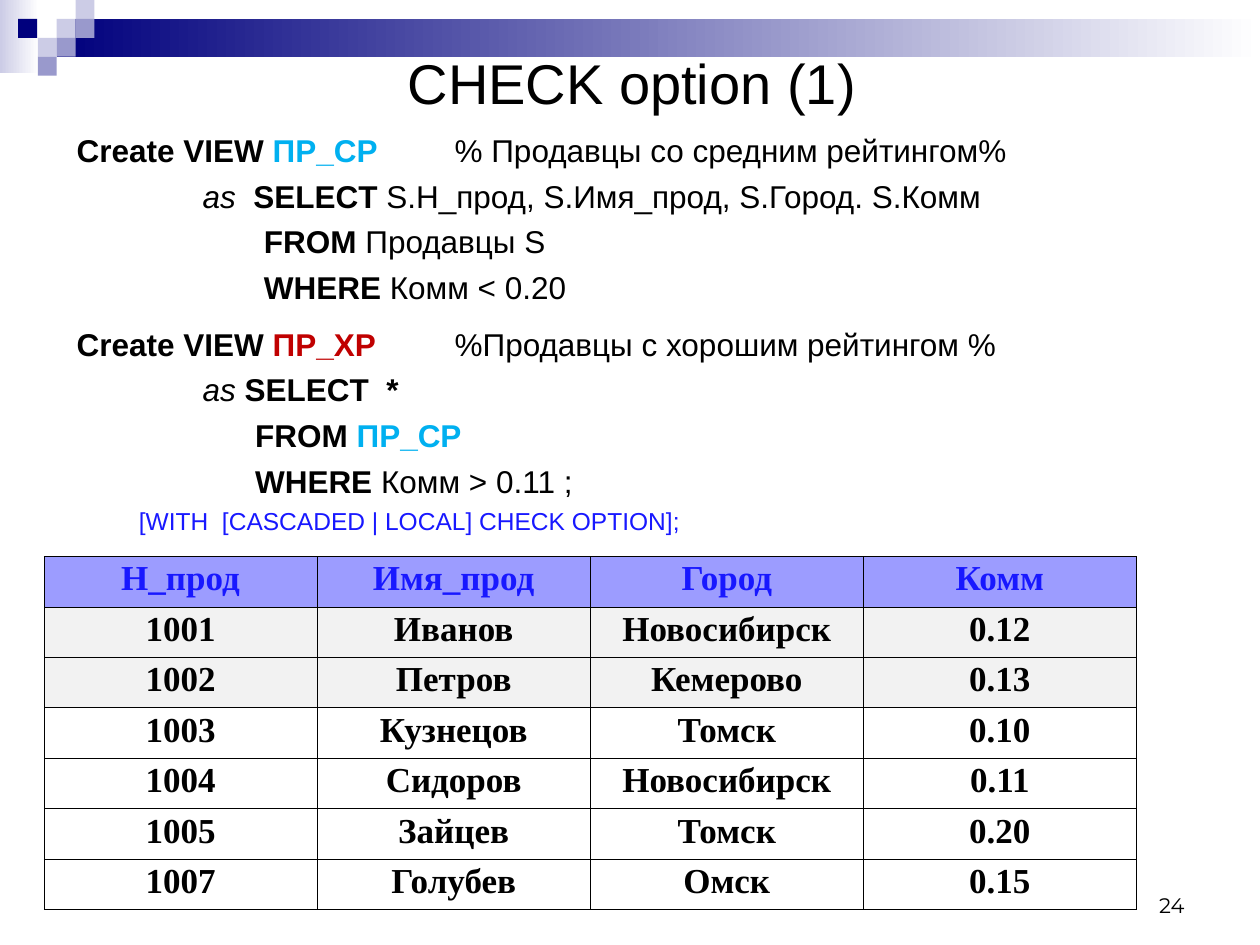
"""Build the slide about the CHECK option of SQL views."""
from dataclasses import dataclass
from typing import Any, NamedTuple, Optional

from lxml import etree
from pptx import Presentation
from pptx import util as u
from pptx.dml import color as c
from pptx.enum import shapes, text
from pptx.oxml import ns

BLACK = c.RGBColor(0x00, 0x00, 0x00)
WHITE = c.RGBColor(0xFF, 0xFF, 0xFF)
NAVY = c.RGBColor(0x00, 0x00, 0x7D)
LAVENDER = c.RGBColor(0xCC, 0xCC, 0xE6)
PERIWINKLE = c.RGBColor(0x99, 0x99, 0xCC)
CYAN = c.RGBColor(0x00, 0xB0, 0xF0)
RED = c.RGBColor(0xC0, 0x00, 0x00)
BLUE = c.RGBColor(0x18, 0x18, 0xFF)
HEADER_FILL = c.RGBColor(0x9C, 0x9C, 0xFF)
ROW_FILL = c.RGBColor(0xF2, 0xF2, 0xF2)

TILE = 10.8
BORDER = 0.45
TAB_STEP = 72
CENTER = text.PP_ALIGN.CENTER


class Box(NamedTuple):
    left: float
    top: float
    width: float
    height: float


class Block(NamedTuple):
    box: Box
    start: c.RGBColor
    end: Optional[c.RGBColor] = None


class Span(NamedTuple):
    text: str
    bold: bool = False
    italic: bool = False
    color: c.RGBColor = BLACK


@dataclass
class Line:
    spans: list[Span]
    format: dict[str, Any]
    size: float = 18
    font: str = "Arial"
    indent: float = 0


def tile(left: float, top: float, color: c.RGBColor) -> Block:
    return Block(Box(left, top, TILE, TILE), color)


BLOCKS = [
    Block(Box(0, 0, 22.3, 41.8), LAVENDER, WHITE),
    Block(Box(32.4, 10.8, 687.6, 21.6), NAVY, WHITE),
    tile(32.4, 10.8, LAVENDER),
    tile(43.2, 0, LAVENDER),
    tile(43.2, 10.8, PERIWINKLE),
    tile(21.6, 21.6, LAVENDER),
    tile(10.4, 10.8, NAVY),
    tile(32.4, 21.6, PERIWINKLE),
    tile(21.6, 32.4, PERIWINKLE),
]

SPACED = {"space_before": u.Pt(4.5)}
CODE = [
    Line([Span("Create VIEW ", True), Span("ПP_СР\t", True, color=CYAN),
          Span("% Продавцы со средним рейтингом%")], {}),
    Line([Span("\t"), Span("as  ", italic=True), Span("SELECT", True),
          Span(" S.Н_прод, S.Имя_прод, S.Город. S.Комм")], SPACED),
    Line([Span("\t       "), Span("FROM ", True), Span("Продавцы S")], SPACED),
    Line([Span("\t       "), Span("WHERE ", True), Span("Комм < 0.20")], SPACED),
    Line([Span("Create VIEW ", True), Span("ПР_ХР\t", True, color=RED),
          Span("%Продавцы с хорошим рейтингом %")], {"line_spacing": 1.5}),
    Line([Span("\t"), Span("as ", italic=True), Span("SELECT  *", True)], SPACED),
    Line([Span("\t      "), Span("FROM ", True), Span("ПP_СР", True, color=CYAN)], SPACED),
    Line([Span("\t      WHERE ", True), Span("Комм > 0.11 ;")], SPACED),
    Line([Span(" [WITH  [CASCADED | LOCAL] CHECK OPTION];", color=BLUE)],
         {"level": 1, "space_before": u.Pt(3.5)}, size=14, indent=31.7),
]

SELLERS = [
    ("Н_прод", "Имя_прод", "Город", "Комм"),
    ("1001", "Иванов", "Новосибирск", "0.12"),
    ("1002", "Петров", "Кемерово", "0.13"),
    ("1003", "Кузнецов", "Томск", "0.10"),
    ("1004", "Сидоров", "Новосибирск", "0.11"),
    ("1005", "Зайцев", "Томск", "0.20"),
    ("1007", "Голубев", "Омск", "0.15"),
]


def apply(target: Any, values: dict[str, Any]) -> None:
    for name, value in values.items():
        setattr(target, name, value)


def add_block(slide: Any, block: Block) -> None:
    shape = slide.shapes.add_shape(shapes.MSO_SHAPE.RECTANGLE, *map(u.Pt, block.box))
    shape.shadow.inherit = False
    shape.line.fill.background()
    if block.end is None:
        shape.fill.solid()
        shape.fill.fore_color.rgb = block.start
        return
    shape.fill.gradient()
    shape.fill.gradient_angle = 0
    for stop, color in zip(shape.fill.gradient_stops, (block.start, block.end)):
        stop.color.rgb = color


def add_tabs(properties: Any) -> None:
    tabs = etree.SubElement(properties, ns.qn("a:tabLst"))
    for step in range(1, 8):
        etree.SubElement(tabs, ns.qn("a:tab"), pos=str(int(u.Pt(step * TAB_STEP))), algn="l")


def write_line(paragraph: Any, line: Line) -> None:
    apply(paragraph, line.format)
    properties = paragraph._p.get_or_add_pPr()
    if line.indent:
        properties.set("marL", str(int(u.Pt(line.indent))))
        properties.set("indent", "0")
    if any("\t" in span.text for span in line.spans):
        add_tabs(properties)
    for span in line.spans:
        run = paragraph.add_run()
        run.text = span.text
        apply(run.font, {"name": line.font, "size": u.Pt(line.size),
                         "bold": span.bold, "italic": span.italic})
        run.font.color.rgb = span.color


def add_text(slide: Any, box: Box, lines: list[Line], frame_format: dict[str, Any]) -> None:
    frame = slide.shapes.add_textbox(*map(u.Pt, box)).text_frame
    apply(frame, {"word_wrap": True, **frame_format})
    for index, line in enumerate(lines):
        write_line(frame.add_paragraph() if index else frame.paragraphs[0], line)


def set_borders(cell: Any) -> None:
    properties = cell._tc.get_or_add_tcPr()
    for index, side in enumerate(("lnL", "lnR", "lnT", "lnB")):
        border = etree.Element(ns.qn(f"a:{side}"), w=str(int(u.Pt(BORDER))))
        fill = etree.SubElement(border, ns.qn("a:solidFill"))
        etree.SubElement(fill, ns.qn("a:srgbClr"), val=str(BLACK))
        properties.insert(index, border)


def add_table(slide: Any, box: Box, rows: list[tuple[str, ...]]) -> None:
    table = slide.shapes.add_table(len(rows), len(rows[0]), *map(u.Pt, box)).table
    apply(table, {"first_row": False, "horz_banding": False})
    for column in table.columns:
        column.width = u.Pt(box.width / len(rows[0]))
    for row_index, values in enumerate(rows):
        table.rows[row_index].height = u.Pt(box.height / len(rows))
        header = row_index == 0
        for column_index, value in enumerate(values):
            cell = table.cell(row_index, column_index)
            if row_index < 3:
                cell.fill.solid()
                cell.fill.fore_color.rgb = HEADER_FILL if header else ROW_FILL
            else:
                cell.fill.background()
            span = Span(value, True, color=BLUE if header else BLACK)
            write_line(cell.text_frame.paragraphs[0],
                       Line([span], {"alignment": CENTER, "line_spacing": 0.9},
                            20, "Times New Roman"))
            set_borders(cell)


def main() -> None:
    presentation = Presentation()
    apply(presentation, {"slide_width": u.Pt(720), "slide_height": u.Pt(540)})
    slide = presentation.slides.add_slide(presentation.slide_layouts[6])
    for block in BLOCKS:
        add_block(slide, block)
    add_text(slide, Box(37.2, 14.5, 648, 64.8),
             [Line([Span("CHECK option (1)")], {"alignment": CENTER}, 32)],
             {"vertical_anchor": text.MSO_ANCHOR.MIDDLE})
    add_text(slide, Box(36.7, 71.3, 668.9, 459.4), CODE, {"margin_top": u.Pt(3.6)})
    add_table(slide, Box(25.2, 318, 624.2, 201.6), SELLERS)
    add_text(slide, Box(516.2, 491.8, 167.8, 36),
             [Line([Span("24")], {"alignment": text.PP_ALIGN.RIGHT}, 12, "Montserrat")],
             {"vertical_anchor": text.MSO_ANCHOR.BOTTOM})
    presentation.save("out.pptx")


if __name__ == "__main__":
    main()
